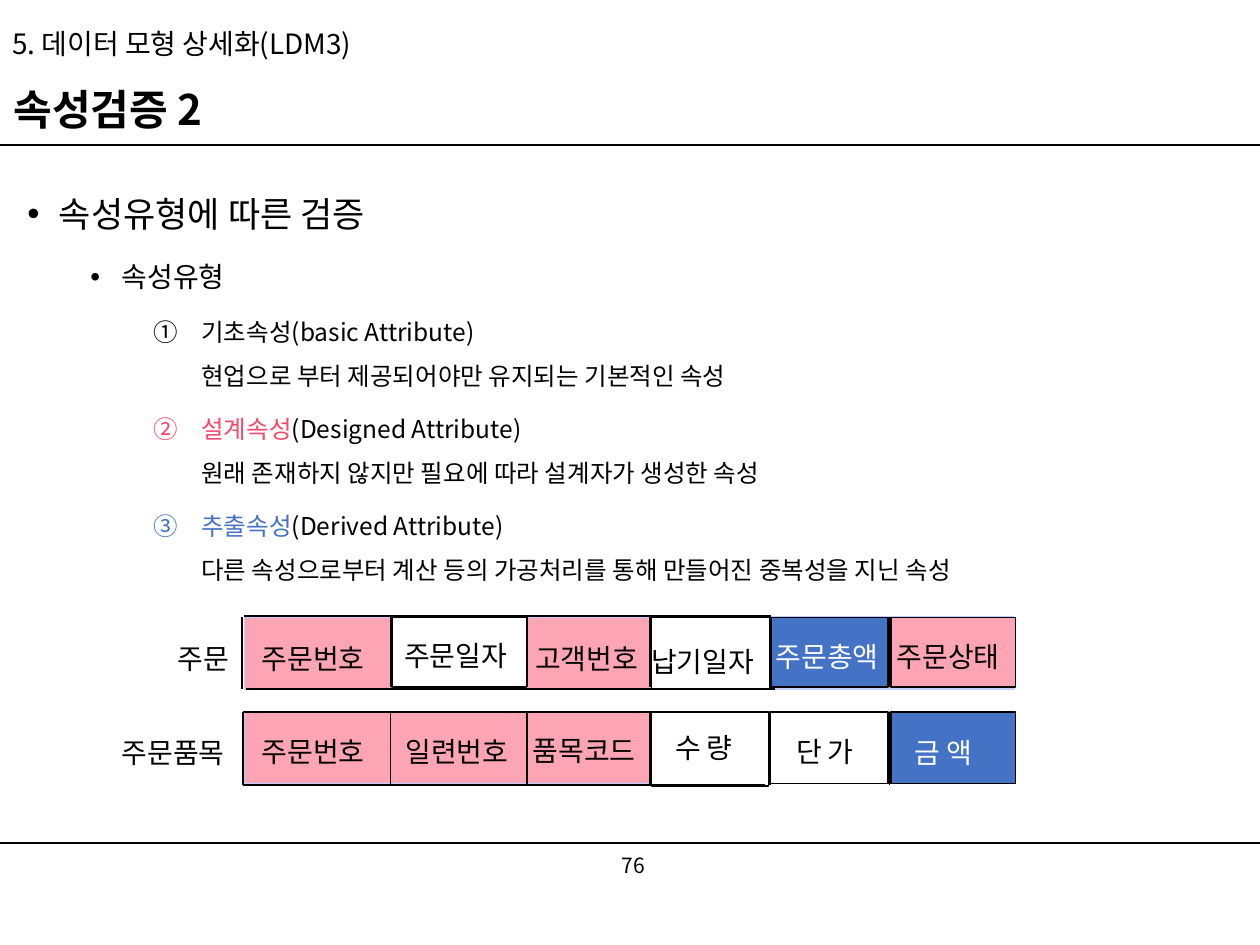
"""Build the attribute verification slide with two rows of example attributes."""
import pptx
import pptx.dml.color
import pptx.enum.shapes
import pptx.enum.text
import pptx.oxml.ns
import pptx.util
from lxml import etree

Inches = pptx.util.Inches
qn = pptx.oxml.ns.qn
FONT = "Noto Sans CJK KR"
COLORS = {
    "black": "000000", "white": "FFFFFF", "pink": "FDA4B5",
    "blue": "4472C4", "red": "FB4769", "lavender": "C1CEFF",
}


def add_text(paragraph, text, size, color="black", bold=False):
    run = paragraph.add_run()
    run.text = text
    run.font.name = FONT
    run.font.size = pptx.util.Pt(size)
    run.font.bold = bold
    run.font.color.rgb = pptx.dml.color.RGBColor.from_string(COLORS[color])
    etree.SubElement(run.font._element, qn("a:ea"), typeface=FONT)


def add_line(x1, y1, x2, y2, width=1):
    line = slide.shapes.add_connector(
        pptx.enum.shapes.MSO_CONNECTOR.STRAIGHT,
        Inches(x1), Inches(y1), Inches(x2), Inches(y2))
    line.line.color.rgb = pptx.dml.color.RGBColor.from_string(COLORS["black"])
    line.line.width = pptx.util.Pt(width)
    etree.SubElement(line._element.spPr, qn("a:effectLst"))


presentation = pptx.Presentation()
presentation.slide_width = Inches(10)
presentation.slide_height = Inches(7.5)
slide = presentation.slides.add_slide(presentation.slide_layouts[6])

for y in (1.15, 6.69):
    add_line(0, y, 10.03, y, 0.75)

headings = [
    ("76", 3.9, 6.67, 2.25, 0.4, 12, False, 1, "CENTER"),
    ("5. 데이터 모형 상세화(LDM3)", 0, 0.1, 10.03, 0.52, 16, False, 0.9, "LEFT"),
    ("속성검증 2", 0.01, 0.63, 9.76, 0.52, 24, True, 0.9, "LEFT"),
]
for text, left, top, width, height, size, bold, spacing, alignment in headings:
    box = slide.shapes.add_textbox(Inches(left), Inches(top), Inches(width), Inches(height))
    box.text_frame.word_wrap = True
    box.text_frame.vertical_anchor = pptx.enum.text.MSO_ANCHOR.MIDDLE
    paragraph = box.text_frame.paragraphs[0]
    paragraph.alignment = pptx.enum.text.PP_ALIGN[alignment]
    paragraph.line_spacing = spacing
    add_text(paragraph, text, size, bold=bold)

outline = [
    (0, "속성유형에 따른 검증", "black", "", ""),
    (1, "속성유형", "black", "", ""),
    (2, "기초속성", "black", "(basic Attribute)",
     "현업으로 부터 제공되어야만 유지되는 기본적인 속성"),
    (2, "설계속성", "red", "(Designed Attribute)",
     "원래 존재하지 않지만 필요에 따라 설계자가 생성한 속성"),
    (2, "추출속성", "blue", "(Derived Attribute)",
     "다른 속성으로부터 계산 등의 가공처리를 통해 만들어진 중복성을 지닌 속성"),
]
levels = [(0.25, 0.25, 20), (0.75, 0.25, 16), (1.38, 0.38, 14)]
body = slide.shapes.add_textbox(Inches(0.12), Inches(1.31), Inches(9.76), Inches(5.2))
body.text_frame.word_wrap = True
for index, (level, name, color, english, description) in enumerate(outline):
    paragraph = body.text_frame.paragraphs[0] if index == 0 else body.text_frame.add_paragraph()
    margin, hanging, size = levels[level]
    paragraph.level = level
    paragraph.line_spacing = 1.5
    paragraph.space_before = pptx.util.Pt(5 if index else 0)
    properties = paragraph._p.get_or_add_pPr()
    properties.set("marL", str(Inches(margin)))
    properties.set("indent", str(-Inches(hanging)))
    if level == 2:
        etree.SubElement(properties, qn("a:buFont"), typeface="+mj-ea")
        etree.SubElement(properties, qn("a:buAutoNum"), type="circleNumDbPlain")
    else:
        etree.SubElement(properties, qn("a:buFont"), typeface="Arial")
        etree.SubElement(properties, qn("a:buChar"), char="•")
    add_text(paragraph, name, size, color)
    if english:
        add_text(paragraph, english, size)
        paragraph.add_line_break()
        add_text(paragraph, description, size)

rectangles = [
    (1.94, 5.65, 6.11, 0.57, "pink", "lavender"),
    (5.17, 5.65, 0.93, 0.59, "white", "black"),
    (6.11, 5.65, 0.94, 0.57, "white", "black"),
    (7.07, 5.65, 0.99, 0.57, "blue", "black"),
    (1.94, 4.9, 6.11, 0.57, "pink", "lavender"),
    (5.17, 4.9, 0.94, 0.57, "white", "black"),
    (3.11, 4.9, 1.07, 0.55, "white", "black"),
    (7.07, 4.9, 0.99, 0.55, "pink", "black"),
    (6.12, 4.9, 0.93, 0.55, "blue", "black"),
]
for left, top, width, height, fill, border in rectangles:
    shape = slide.shapes.add_shape(
        pptx.enum.shapes.MSO_SHAPE.RECTANGLE,
        Inches(left), Inches(top), Inches(width), Inches(height))
    shape.shadow.inherit = False
    shape.fill.solid()
    shape.fill.fore_color.rgb = pptx.dml.color.RGBColor.from_string(COLORS[fill])
    shape.line.color.rgb = pptx.dml.color.RGBColor.from_string(COLORS[border])
    shape.line.width = pptx.util.Pt(1)

for top, bottom in ((4.9, 5.45), (5.65, 6.23)):
    for x in (3.1, 4.18, 5.16, 6.11, 7.06):
        add_line(x, top, x, bottom)

borders = [
    (1.93, 5.65, 5.2, 5.65), (1.93, 6.23, 6.07, 6.23), (1.93, 5.65, 1.93, 6.23),
    (1.94, 4.89, 6.12, 4.89), (1.95, 5.47, 6.15, 5.47), (1.92, 4.9, 1.92, 5.47),
]
for border in borders:
    add_line(*border)

labels = [
    ("주문", 1.31, 5.04, 0.65, "black"),
    ("주문번호", 1.98, 5.04, 1.1, "black"),
    ("주문일자", 3.11, 5.02, 1.1, "black"),
    ("고객번호", 4.15, 5.04, 1.1, "black"),
    ("납기일자", 5.07, 5.07, 1.1, "black"),
    ("주문총액", 6.06, 5.03, 1.1, "white"),
    ("주문상태", 7.02, 5.03, 1.1, "black"),
    ("주문품목", 0.87, 5.79, 1.1, "black"),
    ("주문번호", 1.98, 5.78, 1.1, "black"),
    ("일련번호", 3.12, 5.78, 1.1, "black"),
    ("품목코드", 4.13, 5.77, 1.1, "black"),
    ("수 량", 5.26, 5.75, 0.73, "black"),
    ("단 가", 6.22, 5.78, 0.73, "black"),
    ("금 액", 7.16, 5.79, 0.73, "white"),
]
for text, left, top, width, color in labels:
    label = slide.shapes.add_textbox(Inches(left), Inches(top), Inches(width), Inches(0.37))
    label.text_frame.word_wrap = False
    label.text_frame.auto_size = pptx.enum.text.MSO_AUTO_SIZE.SHAPE_TO_FIT_TEXT
    add_text(label.text_frame.paragraphs[0], text, 16, color)

presentation.save("out.pptx")
